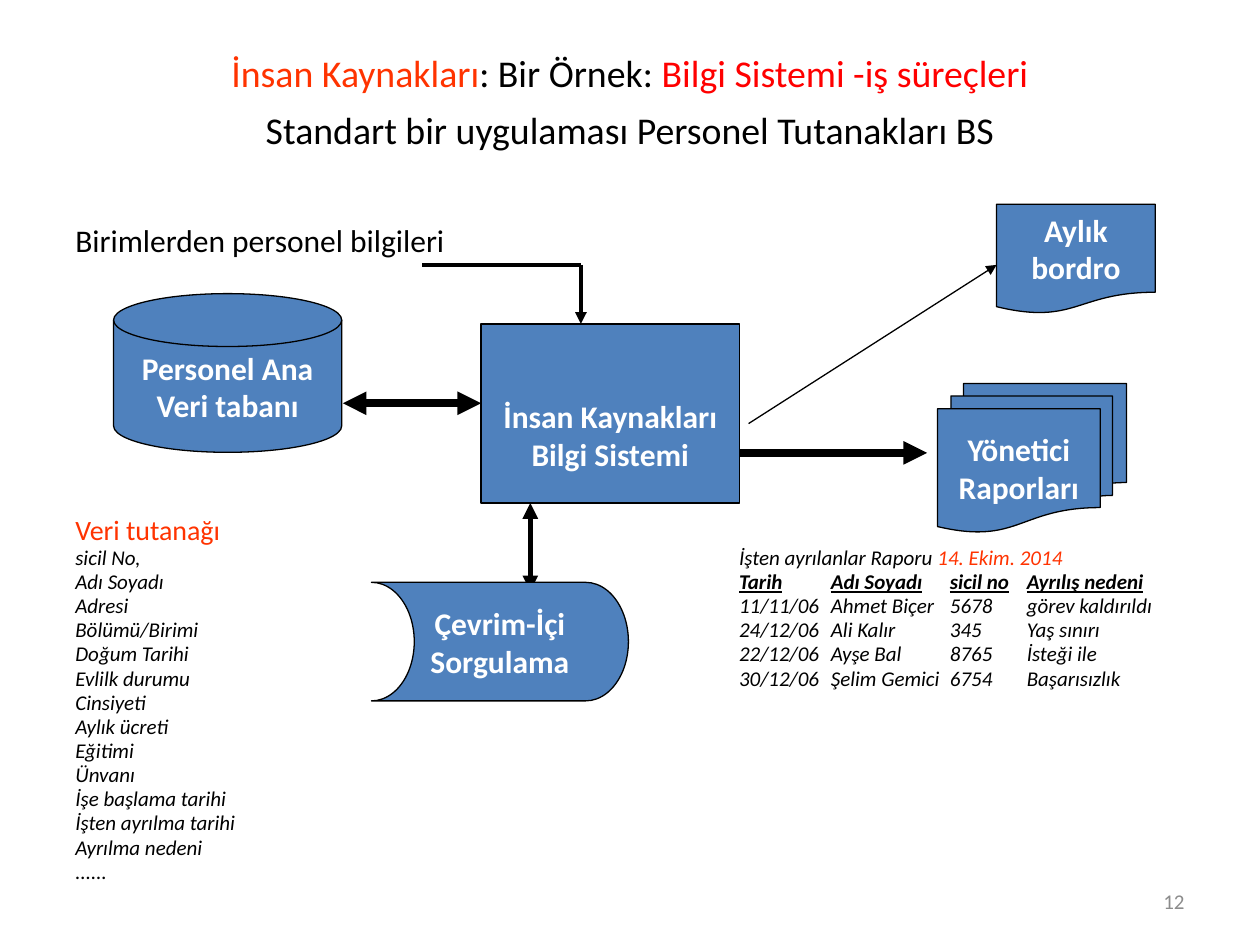
import pptx
import pptx.util
import pptx.dml.color
import pptx.enum.shapes
import pptx.enum.text
import pptx.oxml
import pptx.oxml.ns

Cm = pptx.util.Cm
Pt = pptx.util.Pt
RGB = pptx.dml.color.RGBColor
KIND = pptx.enum.shapes.MSO_SHAPE
ALIGN = pptx.enum.text.PP_ALIGN
ANCHOR = pptx.enum.text.MSO_ANCHOR
qn = pptx.oxml.ns.qn
BLUE = RGB(0x4F, 0x81, 0xBD)
BLACK = RGB(0, 0, 0)
WHITE = RGB(255, 255, 255)
RED = RGB(255, 0, 0)
ORANGE = RGB(0xFF, 0x33, 0)
GRAY = RGB(0x8C, 0x8C, 0x8C)

FIELDS = ["sicil No,", "Adı Soyadı", "Adresi", "Bölümü/Birimi", "Doğum Tarihi",
          "Evlilk durumu", "Cinsiyeti", "Aylık ücreti", "Eğitimi", "Ünvanı",
          "İşe başlama tarihi", "İşten ayrılma tarihi", "Ayrılma nedeni", "......"]
LEAVERS = [("Tarih", "Adı Soyadı", "sicil no", "Ayrılış nedeni"),
           ("11/11/06", "Ahmet Biçer", "5678", "görev kaldırıldı"),
           ("24/12/06", "Ali Kalır", "345", "Yaş sınırı"),
           ("22/12/06", "Ayşe Bal", "8765", "İsteği ile"),
           ("30/12/06", "Şelim Gemici", "6754", "Başarısızlık")]


def style(run, size, color, bold=False, italic=False):
    """Set the font of one run."""
    font = run.font
    font.name, font.size, font.bold, font.italic = "Calibri", Pt(size), bold, italic
    font.color.rgb = color


def write(slide, box, lines, size, align=ALIGN.LEFT, gap=0, pitch=None, italic=False):
    """Place a text box; each line is a list of (text, colour) runs."""
    frame = slide.shapes.add_textbox(*map(Cm, box)).text_frame
    frame.word_wrap = True
    frame.margin_left = frame.margin_right = frame.margin_top = frame.margin_bottom = 0
    for i, line in enumerate(lines):
        para = frame.paragraphs[0] if i == 0 else frame.add_paragraph()
        para.alignment = align
        para.space_before = Pt(gap if i else 0)
        para.line_spacing = pitch
        for text, color in line:
            run = para.add_run()
            run.text = text
            style(run, size, color, italic=italic)
    return frame


def node(slide, kind, box, text, top=0.13):
    """Place a blue flow-chart shape with a bold white label."""
    shape = slide.shapes.add_shape(kind, *map(Cm, box))
    shape.shadow.inherit = False
    shape.fill.solid()
    shape.fill.fore_color.rgb = BLUE
    shape.line.color.rgb = BLACK
    shape.line.width = Pt(0.75)
    frame = shape.text_frame
    frame.text = text
    frame.word_wrap = False
    frame.vertical_anchor = ANCHOR.MIDDLE
    frame.margin_top = Cm(top)
    for para in frame.paragraphs:
        para.alignment = ALIGN.CENTER
        for run in para.runs:
            style(run, 18, WHITE, bold=True)
    return shape


def link(slide, ends, width, heads=()):
    """Draw a black line with triangles at the named ends."""
    line = slide.shapes.add_connector(pptx.enum.shapes.MSO_CONNECTOR.STRAIGHT, *map(Cm, ends))
    line.line.color.rgb = BLACK
    line.line.width = Pt(width)
    for end in heads:
        pptx.oxml.ns.qn(end)
        tip = line.line._get_or_add_ln().makeelement(qn(end), {"type": "triangle"})
        line.line._get_or_add_ln().append(tip)
    props = line._element.spPr
    props.append(props.makeelement(qn("a:effectLst"), {}))


def title(slide, x, y, wide):
    """Write the two heading lines."""
    write(slide, (x, y, wide, 2.2),
          [[("İnsan Kaynakları", ORANGE), (": Bir Örnek: ", BLACK),
            ("Bilgi Sistemi -iş süreçleri", RED)],
           [("Standart bir uygulaması Personel Tutanakları BS", BLACK)]],
          21.6, ALIGN.CENTER, gap=6.7)


def record(slide, x, y):
    """Write the data record heading and its fields."""
    write(slide, (x, y, 6, 0.6), [[("Veri tutanağı", ORANGE)]], 16, pitch=0.8)
    write(slide, (x, y + 0.6, 6, 7), [[(name, BLACK)] for name in FIELDS],
          12, gap=2.3, pitch=0.8, italic=True)


def report(slide, x, y):
    """Write the leavers report in tabbed columns."""
    lines = [[("İşten ayrılanlar Raporu ", BLACK), ("14. Ekim. 2014", ORANGE)]]
    lines += [[("\t".join(row), BLACK)] for row in LEAVERS]
    frame = write(slide, (x, y, 9.5, 3), lines, 12, gap=2.3, pitch=0.8, italic=True)
    for para in frame.paragraphs[1:]:
        props = para._p.get_or_add_pPr()
        tabs = props.makeelement(qn("a:tabLst"), {})
        props.append(tabs)
        for stop in (1.85, 4.25, 5.8):
            tabs.append(tabs.makeelement(qn("a:tab"), {"pos": str(Cm(stop)), "algn": "l"}))
    for run in frame.paragraphs[1].runs:
        run.font.bold = run.font.underline = True


def flow(slide, x, y):
    """Draw the system with its inputs, stores and outputs."""
    head, tail = "a:headEnd", "a:tailEnd"
    node(slide, KIND.FLOWCHART_MAGNETIC_DISK, (x, y + 1.8, 4.6, 3.2),
         "Personel Ana\nVeri tabanı")
    node(slide, KIND.RECTANGLE, (x + 7.41, y + 2.41, 5.21, 3.61),
         "İnsan Kaynakları\nBilgi Sistemi", top=0.98)
    node(slide, KIND.FLOWCHART_MULTIDOCUMENT, (x + 16.61, y + 3.61, 3.81, 3),
         "Yönetici\nRaporları")
    node(slide, KIND.FLOWCHART_DOCUMENT, (x + 17.8, y, 3.2, 2.21), "Aylık\nbordro")
    link(slide, (x + 6.22, y + 1.22, x + 9.42, y + 1.22), 2.25)
    link(slide, (x + 9.42, y + 1.22, x + 9.42, y + 2.41), 2.25, [tail])
    link(slide, (x + 4.62, y + 4.01, x + 7.41, y + 4.01), 4.5, [head, tail])
    link(slide, (x + 8.4, y + 6.02, x + 8.4, y + 7.8), 3, [head, tail])
    link(slide, (x + 12.62, y + 5.01, x + 16.4, y + 5.01), 4.5, [tail])
    link(slide, (x + 12.8, y + 4.42, x + 17.8, y + 1.22), 0.75, [tail])
    query = node(slide, KIND.FLOWCHART_STORED_DATA, (x + 5.2, y + 7.62, 5.18, 2.39),
                 "Çevrim-İçi\nSorgulama")
    query._element.spPr.find(qn("a:xfrm")).set("flipH", "1")


def build():
    """Build and save the slide."""
    deck = pptx.Presentation()
    deck.slide_width, deck.slide_height = Cm(25.4), Cm(19.05)
    slide = deck.slides.add_slide(deck.slide_layouts[6])
    title(slide, 1.27, 1, 22.86)
    write(slide, (1.52, 4.6, 9, 0.8), [[("Birimlerden personel bilgileri", BLACK)]],
          18, pitch=0.8)
    record(slide, 1.52, 10.47)
    report(slide, 14.9, 11.07)
    flow(slide, 2.29, 4.12)
    write(slide, (18.21, 17.92, 5.67, 0.6), [[("12", GRAY)]], 12, ALIGN.RIGHT)
    deck.save("out.pptx")


build()
